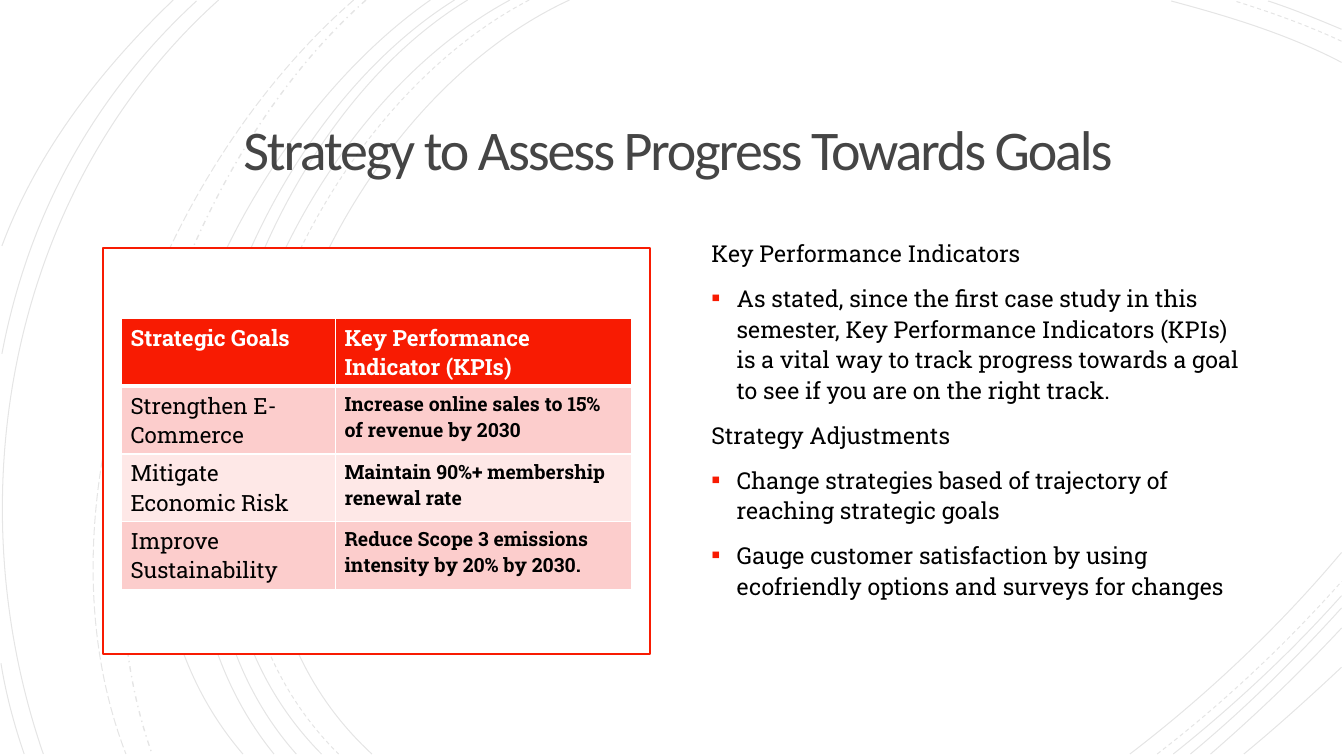
from lxml import etree
from pptx import Presentation
from pptx.dml.color import RGBColor
from pptx.enum.dml import MSO_LINE
from pptx.enum.shapes import MSO_SHAPE
from pptx.enum.text import MSO_ANCHOR, PP_ALIGN
from pptx.oxml.ns import qn
from pptx.util import Pt

SOLID, DASH = MSO_LINE.SOLID, MSO_LINE.DASH
DASH_DOT, LONG_DASH = MSO_LINE.DASH_DOT, MSO_LINE.LONG_DASH
TOP, MIDDLE = MSO_ANCHOR.TOP, MSO_ANCHOR.MIDDLE
CENTER = PP_ALIGN.CENTER
RECTANGLE = MSO_SHAPE.RECTANGLE
TITLE_ONLY = 5

COLORS = {"title": "454545", "text": "000000", "red": "F81B02", "white": "FFFFFF",
          "odd_row": "FCCDCC", "even_row": "FEE8E7", "arc": "000000"}
HEADING_FONT, BODY_FONT = "Calibri", "Roboto Slab"
BODY_SIZE = 16.65

RIGHT, BOTTOM = 958.3, 538.6
# Each arc: start, two control points, end
ARCS = {
    (SOLID, 0.75): [
        # left sweep
        (406.8, 0, 226.8, 82.8, 103, 388.8, 265.7, BOTTOM),
        (364.3, 0, 194.4, 91.4, 79.2, 386.6, 229.7, BOTTOM),
        (334.1, 0, 175.7, 95.8, 79.2, 389.5, 211.7, BOTTOM),
        (324.7, 0, 166.3, 99.4, 69.8, 383.8, 195.8, BOTTOM),
        (307.4, 0, 156.2, 105.8, 38.2, 380.9, 173.5, BOTTOM),
        (156.2, 0, 7.9, 133.2, -33.1, 352.8, 31, BOTTOM),
        (140.4, 0.7, 66.2, 69.1, 20.2, 154.1, 1.4, 252.7),
        (0.7, 473.8, 4.3, 496.1, 10.1, 517.7, 17.3, BOTTOM),
        (123.8, 0, 72, 49.7, 26.6, 108, 1.4, 175.7),
        # top right corner
        (RIGHT, 44.6, 920.2, 24.5, 877, 11.5, 836.6, 0.7),
        (RIGHT, 20.9, 941, 13.7, 923.8, 6.5, 905.8, 0.7),
        # bottom right corner
        (807.1, BOTTOM, 861.8, 496.8, 913.7, 447.8, RIGHT, 394.6),
        (838.1, BOTTOM, 880.6, 504.7, 921.6, 466.6, RIGHT, 425.5),
        (850.3, BOTTOM, 888.5, 506.9, 924.5, 471.6, RIGHT, 434.2),
        (864.7, BOTTOM, 897.1, 510.5, 928.8, 480.2, RIGHT, 448.6),
        (888.5, BOTTOM, 912.2, 519.1, 935.3, 498.2, RIGHT, 476.6),
    ],
    (DASH, 0.75): [
        (378, 0, 205.2, 90, 88.6, 386.6, 241.9, BOTTOM),
        (RIGHT, 29.5, 933.8, 18, 907.2, 8.6, 882, 0.7),
        (826.6, BOTTOM, 873.4, 502.6, 918, 460.8, RIGHT, 415.4),
    ],
    (DASH_DOT, 1): [(261.4, 0, 126.7, 119.5, 46.8, 366.5, 108.7, BOTTOM)],
    (LONG_DASH, 0.75): [(252.7, 0, 113, 121.7, 20.9, 359.3, 90, BOTTOM)],
}

GOALS = [
    ("Strategic Goals", "Key Performance Indicator (KPIs)"),
    ("Strengthen E-Commerce", "Increase online sales to 15% of revenue by 2030"),
    ("Mitigate Economic Risk", "Maintain 90%+ membership renewal rate"),
    ("Improve Sustainability", "Reduce Scope 3 emissions intensity by 20% by 2030."),
]

NOTES = [
    ("Key Performance Indicators", [
        "As stated, since the first case study in this semester, Key Performance Indicators "
        "(KPIs) is a vital way to track progress towards a goal to see if you are on the "
        "right track."]),
    ("Strategy Adjustments", [
        "Change strategies based of trajectory of reaching strategic goals",
        "Gauge customer satisfaction by using ecofriendly options and surveys for changes"]),
]


def rgb(name):
    return RGBColor.from_string(COLORS[name])


def apply(target, formats):
    for attribute, value in formats.items():
        setattr(target, attribute, value)


def style_font(font, name, size, color, bold=False):
    apply(font, {"name": name, "size": Pt(size), "bold": bold})
    font.color.rgb = rgb(color)


def place(shape, box):
    apply(shape, dict(zip(("left", "top", "width", "height"), map(Pt, box))))


def margins(left, top):
    return {"margin_left": Pt(left), "margin_right": Pt(left),
            "margin_top": Pt(top), "margin_bottom": Pt(top)}


def bend(curve):
    """Turn the three straight segments of a freeform into one cubic curve."""
    outline = curve.element.find(f".//{qn('a:path')}")
    cubic = etree.SubElement(outline, qn("a:cubicBezTo"))
    for segment in outline.findall(qn("a:lnTo")):
        cubic.append(segment[0])
        outline.remove(segment)


def add_arcs(slide):
    for (dash, width), arcs in ARCS.items():
        for arc in arcs:
            start, *rest = zip(map(Pt, arc[::2]), map(Pt, arc[1::2]))
            builder = slide.shapes.build_freeform(*start)
            builder.add_line_segments(rest, close=False)
            curve = builder.convert_to_shape()
            bend(curve)
            curve.shadow.inherit = False
            curve.fill.background()
            curve.line.color.rgb = rgb("arc")
            apply(curve.line, {"width": Pt(width), "dash_style": dash})
            line_color = curve.element.find(f".//{qn('a:ln')}//{qn('a:srgbClr')}")
            etree.SubElement(line_color, qn("a:alpha"), val="10000")


def add_title(slide, box):
    title = slide.shapes.title
    place(title, box)
    frame = title.text_frame
    apply(frame, {"word_wrap": True, "vertical_anchor": MIDDLE, **margins(18, 18)})
    paragraph = frame.paragraphs[0]
    apply(paragraph, {"alignment": CENTER, "line_spacing": 0.85})
    run = paragraph.add_run()
    run.text = "Strategy to Assess Progress Towards Goals"
    style_font(run.font, HEADING_FONT, 40, "title")
    run.font._element.set("spc", "-150")


def set_borders(cell, widths):
    """Give the cell white left, right, top and bottom borders."""
    properties = cell._tc.get_or_add_tcPr()
    for index, (side, width) in enumerate(zip("LRTB", widths)):
        border = etree.Element(qn(f"a:ln{side}"), w=str(Pt(width)))
        fill = etree.SubElement(border, qn("a:solidFill"))
        etree.SubElement(fill, qn("a:srgbClr"), val=COLORS["white"])
        properties.insert(index, border)


def add_goals_card(slide, box):
    left, top, width, height = box
    card = slide.shapes.add_shape(RECTANGLE, *map(Pt, box))
    card.shadow.inherit = False
    card.fill.solid()
    card.fill.fore_color.rgb = rgb("white")
    card.line.color.rgb = rgb("red")
    card.line.width = Pt(1.5)

    column_widths = (152.8, 211.7)
    table = slide.shapes.add_table(
        len(GOALS), len(column_widths), Pt(left + 13.4), Pt(top + 50.4),
        Pt(sum(column_widths)), Pt(189.4)).table
    for column, column_width in zip(table.columns, column_widths):
        column.width = Pt(column_width)
    for row, texts in enumerate(GOALS):
        header = row == 0
        fill = "red" if header else "odd_row" if row % 2 else "even_row"
        for column, text in enumerate(texts):
            cell = table.cell(row, column)
            apply(cell, {"vertical_anchor": TOP, **margins(6.5, 3.2)})
            cell.fill.solid()
            cell.fill.fore_color.rgb = rgb(fill)
            set_borders(cell, (1, 1, 3 if row == 1 else 1, 3 if header else 1))
            run = cell.text_frame.paragraphs[0].add_run()
            run.text = text
            is_kpi = column == 1 and not header
            style_font(run.font, BODY_FONT, 14 if is_kpi else 16,
                       "white" if header else "text", bold=header or is_kpi)


def add_bullet(paragraph):
    properties = paragraph._p.get_or_add_pPr()
    for name, indent in {"marL": 18, "indent": -18}.items():
        properties.set(name, str(Pt(indent)))
    color = etree.SubElement(properties, qn("a:buClr"))
    etree.SubElement(color, qn("a:srgbClr"), val=COLORS["red"])
    etree.SubElement(properties, qn("a:buSzPct"), val="110000")
    etree.SubElement(properties, qn("a:buFont"), typeface=HEADING_FONT)
    etree.SubElement(properties, qn("a:buChar"), char="▪")


def add_notes(slide, box):
    frame = slide.shapes.add_textbox(*map(Pt, box)).text_frame
    apply(frame, {"word_wrap": True, "vertical_anchor": TOP, **margins(7.2, 3.6)})
    lines = [line for heading, bullets in NOTES
             for line in [(heading, False)] + [(bullet, True) for bullet in bullets]]
    for index, (text, bulleted) in enumerate(lines):
        paragraph = frame.add_paragraph() if index else frame.paragraphs[0]
        apply(paragraph, {"line_spacing": 1.1, "space_before": Pt(10 if index else 0)})
        if bulleted:
            add_bullet(paragraph)
        run = paragraph.add_run()
        run.text = text
        style_font(run.font, BODY_FONT, BODY_SIZE, "text")


def main():
    deck = Presentation()
    deck.slide_width, deck.slide_height = Pt(960), Pt(540)
    slide = deck.slides.add_slide(deck.slide_layouts[TITLE_ONLY])
    add_arcs(slide)
    add_title(slide, (71.3, 62.6, 825.8, 93.6))
    add_goals_card(slide, (73.4, 177.1, 390.8, 289.8))
    add_notes(slide, (501.1, 165.5, 396, 270))
    deck.save("out.pptx")


if __name__ == "__main__":
    main()
